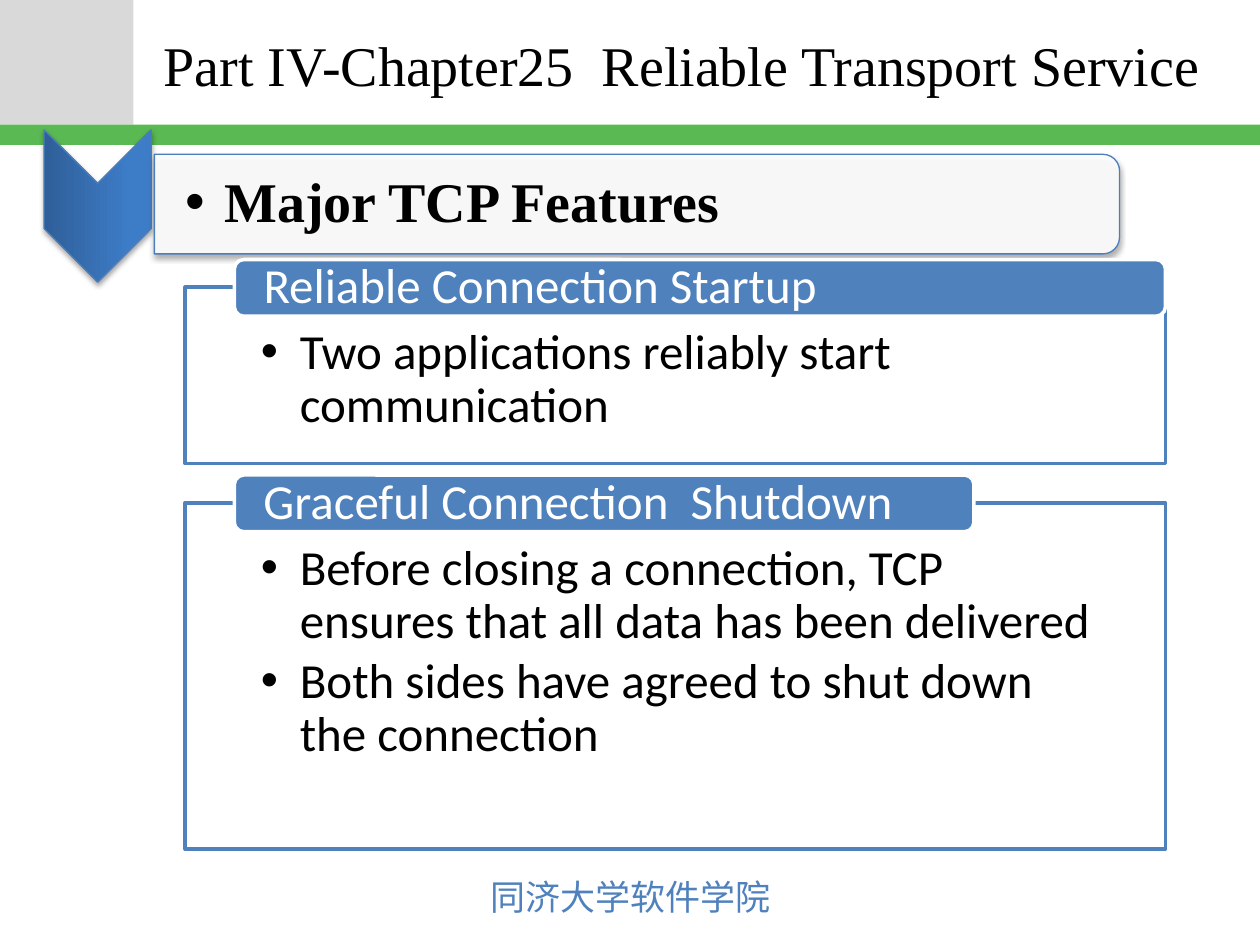
from lxml import etree
from pptx import Presentation
from pptx import util as u
from pptx.dml.color import RGBColor
from pptx.enum import shapes, text
from pptx.oxml.ns import qn

presentation = Presentation()
presentation.slide_width = u.Inches(10)
presentation.slide_height = u.Inches(7.5)
column = presentation.slide_width / 100
row = presentation.slide_height / 75
slide = presentation.slides.add_slide(presentation.slide_layouts[5])
colour = RGBColor.from_string
SHAPE = shapes.MSO_SHAPE
MIDDLE = text.MSO_ANCHOR.MIDDLE
BLUE, EDGE, WHITE, BLACK = "4F81BD", "4B7EBC", "FFFFFF", "000000"


def add_box(geometry, place, fill, line=None, weight=0.75, opacity=100, shadow=False):
    left, top, width, height = place
    shape = slide.shapes.add_shape(geometry, int(left * column), int(top * row),
                                   int(width * column), int(height * row))
    shape.shadow.inherit = False
    shape.fill.solid()
    shape.fill.fore_color.rgb = colour(fill)
    if opacity < 100:
        fill_colour = shape.fill._xPr.find(qn("a:solidFill"))[0]
        etree.SubElement(fill_colour, qn("a:alpha"), val=str(opacity * 1000))
    if line:
        shape.line.color.rgb = colour(line)
        shape.line.width = u.Pt(weight)
    else:
        shape.line.fill.background()
    if shadow:
        effects = shape._element.spPr.find(qn("a:effectLst"))
        outer = etree.SubElement(effects, qn("a:outerShdw"), blurRad=str(u.Pt(3.1)),
                                 dist=str(u.Pt(1.8)), dir="5400000", rotWithShape="0")
        shade = etree.SubElement(outer, qn("a:srgbClr"), val=BLACK)
        etree.SubElement(shade, qn("a:alpha"), val="35000")
    return shape


def write(shape, lines, size, font, hue, insets, anchor=MIDDLE, bold=False,
          bullet=False, spacing=None, after=0, align=text.PP_ALIGN.LEFT, wrap=True):
    frame = shape.text_frame
    frame.word_wrap = wrap
    frame.auto_size = text.MSO_AUTO_SIZE.NONE
    frame.vertical_anchor = anchor
    frame.margin_left, frame.margin_top, frame.margin_right, frame.margin_bottom = map(u.Inches, insets)
    for index, line in enumerate(lines):
        paragraph = frame.add_paragraph() if index else frame.paragraphs[0]
        paragraph.alignment = align
        paragraph.line_spacing = spacing
        paragraph.space_before = u.Pt(0)
        paragraph.space_after = u.Pt(after)
        if bullet:
            paragraph.level = 1
            properties = paragraph._p.get_or_add_pPr()
            properties.set("marL", str(u.Inches(0.31)))
            properties.set("indent", str(-u.Inches(0.31)))
            etree.SubElement(properties, qn("a:buFont"), typeface="Arial")
            etree.SubElement(properties, qn("a:buChar"), char="•")
        run = paragraph.add_run()
        run.text = line
        run.font.size = u.Pt(size)
        run.font.name = font
        run.font.bold = bold
        run.font.color.rgb = colour(hue)
        east_asian = etree.SubElement(run._r.get_or_add_rPr(), qn("a:ea"))
        east_asian.set("typeface", font)


add_box(SHAPE.RECTANGLE, (0, 0, 10.6, 9.9), "D9D9D9")
add_box(SHAPE.RECTANGLE, (0, 9.9, 100, 1.6), "5AB953")

footer = slide.shapes.add_textbox(int(37.8 * column), int(69 * row),
                                  int(24.5 * column), int(4.4 * row))
write(footer, ["同济大学软件学院"], 20, "Noto Sans CJK JP", BLUE, (0.1, 0.05, 0.1, 0.05),
      anchor=text.MSO_ANCHOR.TOP, align=text.PP_ALIGN.CENTER, wrap=False)

title = slide.shapes.title
title.left, title.top = int(12 * column), int(0.2 * row)
title.width, title.height = int(86 * column), int(9.8 * row)
write(title, ["Part IV-Chapter25  Reliable Transport Service"], 32, "Times New Roman",
      BLACK, (0.1, 0.05, 0.1, 0.05))

chevron = add_box(SHAPE.CHEVRON, (1.7, 12.1, 12.1, 8.5), BLUE, EDGE, shadow=True)
chevron.rotation = 90
chevron.fill.gradient()
chevron.fill.gradient_angle = 90
for stop, (position, hue) in zip(chevron.fill.gradient_stops, [(0, "2F5F99"), (0.8, "3D7CC7")]):
    stop.position = position
    stop.color.rgb = colour(hue)

banner = add_box(SHAPE.ROUND_2_SAME_RECTANGLE, (46.6, -22.1, 7.9, 76.6), WHITE, EDGE,
                 opacity=90, shadow=True)
banner.rotation = 90
heading = slide.shapes.add_textbox(int(12.2 * column), int(12.7 * row),
                                   int(76.3 * column), int(7.1 * row))
write(heading, ["Major TCP Features"], 32, "Times New Roman", BLACK,
      (0.25, 0.02, 0.02, 0.02), bold=True, bullet=True, spacing=0.9, after=4.8)

sections = [
    (22.8, 14, 73.9, "Reliable Connection Startup",
     ["Two applications reliably start communication"]),
    (39.9, 27.5, 58.7, "Graceful Connection  Shutdown",
     ["Before closing a connection, TCP ensures that all data has been delivered",
      "Both sides have agreed to shut down the connection"]),
]
for top, height, label_width, label_text, points in sections:
    panel = add_box(SHAPE.RECTANGLE, (14.7, top, 77.8, height), WHITE, BLUE, 2, opacity=90)
    write(panel, points, 28, "Calibri", BLACK, (0.6, 0.32, 0.6, 0.22),
          anchor=text.MSO_ANCHOR.TOP, bullet=True, spacing=0.9, after=4.2)
    label = add_box(SHAPE.ROUNDED_RECTANGLE, (18.6, top - 2.2, label_width, 4.5), BLUE, WHITE, 2)
    write(label, [label_text], 28, "Calibri", WHITE, (0.21, 0, 0.21, 0), spacing=0.9)

presentation.save("out.pptx")
